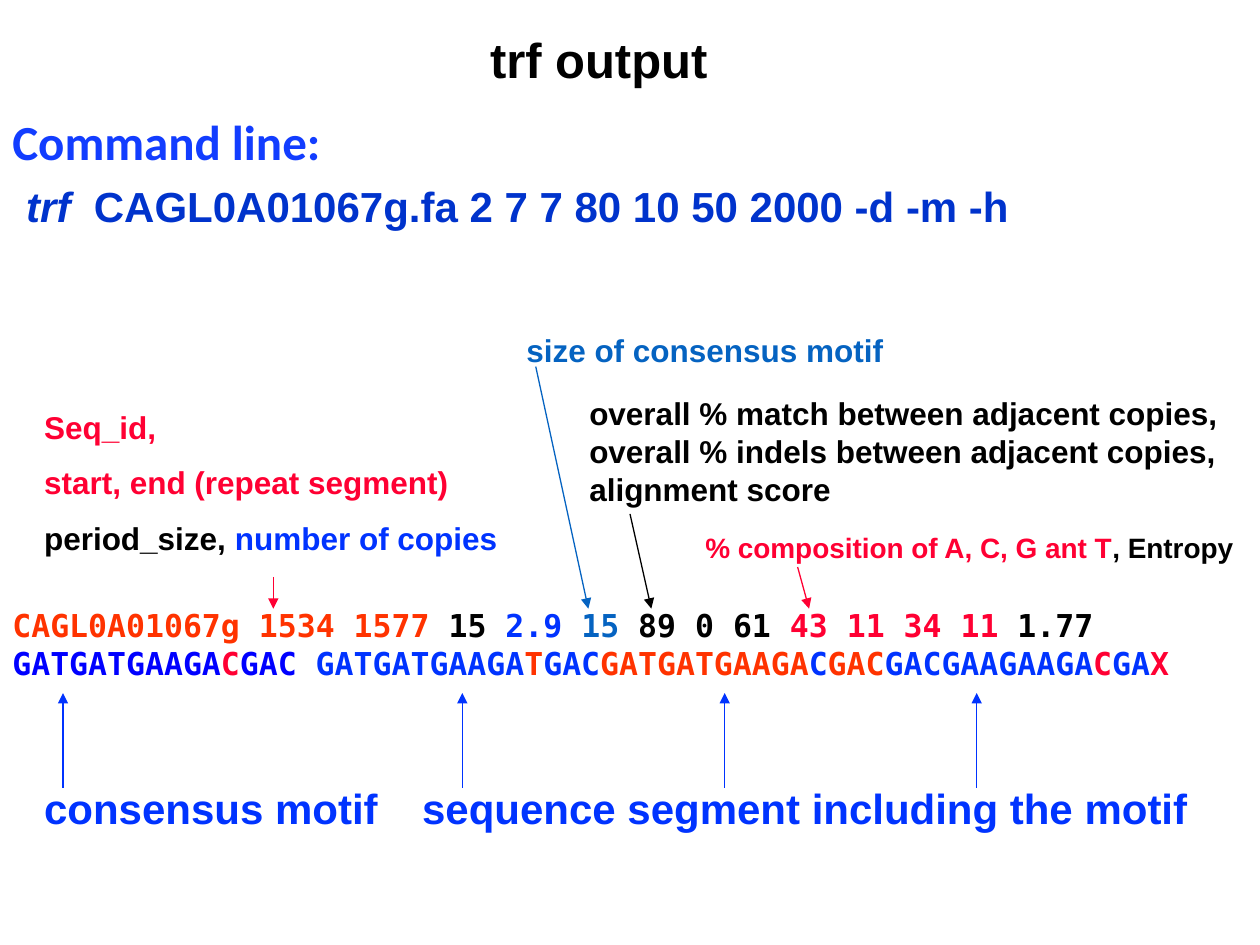
import pptx
import pptx.dml.color
import pptx.enum.shapes
import pptx.oxml.ns
import pptx.util
from lxml import etree

Cm, Pt = pptx.util.Cm, pptx.util.Pt

THEME = {
    "colors": {
        "black": "000000", "red": "FF0033", "orange": "FF3300",
        "blue": "0033FF", "deep": "0000FF", "navy": "0033CC",
        "teal": "0563C1", "heading": "123DFF",
    },
    "styles": {  # font, size in points
        "title": ("Arial", 28),
        "heading": ("Calibri", 28),
        "command": ("Arial", 24),
        "label": ("Arial", 18),
        "small label": ("Arial", 16),
        "record": ("DejaVu Sans Mono", 18),
    },
    "arrow width": 0.75,
    "paragraph gap": 10,
}

RECORD = [
    ("CAGL0A01067g 1534 1577", "orange"), (" 15 ", "black"), ("2.9 ", "blue"),
    ("15", "teal"), (" 89 0 61 ", "black"), ("43 11 34 11", "red"),
    (" 1.77 ", "black"),
    ("GATGATGAAGA", "deep"), ("C", "red"), ("GAC ", "deep"),
    ("GATGATGAAGA", "blue"), ("T", "orange"), ("GAC", "blue"),
    ("GATGATGAAGA", "orange"), ("C", "blue"), ("GAC", "orange"),
    ("GACGAAGAAGA", "blue"), ("C", "red"), ("GA", "blue"), ("X", "red"),
]

# style, (left, top, width, height) in cm, paragraphs of (text, color) runs
TEXTS = [
    ("title", (9.63, 0.48, 4.95, 1.45), [[("trf output", "black")]]),
    ("heading", (0, 2.13, 11.28, 1.45), [[("Command line:", "heading")]]),
    ("command", (0.28, 3.51, 23.29, 1.27),
     [[("trf ", "navy", "italic"),
       (" CAGL0A01067g.fa 2 7 7 80 10 50 2000 -d -m -h", "navy")]]),
    ("record", (0, 12.09, 24.56, 1.78), [RECORD]),
    ("label", (0.64, 8.1, 10.16, 3.3),
     [[("Seq_id,", "red")],
      [("start, end (repeat segment)", "red")],
      [("period_size, ", "black"), ("number of copies", "blue")]]),
    ("label", (10.36, 6.55, 8.26, 1.02), [[("size of consensus motif", "teal")]]),
    ("label", (11.63, 7.82, 13.54, 2.54),
     [[("overall % match between adjacent copies, overall % indels between "
        "adjacent copies, alignment score", "black")]]),
    ("small label", (13.97, 10.57, 11.23, 0.94),
     [[("% composition of A, C, G ant T", "red"), (", Entropy", "black")]]),
    ("command", (0.64, 15.65, 24.33, 1.27),
     [[("consensus motif\tsequence segment including the motif", "blue")]]),
]

RECORD_TOP, RECORD_BOTTOM, MOTIF_LABEL_TOP = 12.27, 13.97, 15.88
FIELD_ARROWS = [  # start x, start y, end x, color
    (5.51, 11.63, 5.51, "red"),
    (10.8, 7.39, 11.86, "teal"),
    (12.7, 10.36, 13.13, "black"),
    (16.08, 11.43, 16.31, "red"),
]
MOTIF_ARROWS_X = [1.27, 9.32, 14.61, 19.69]


def color(name):
    return pptx.dml.color.RGBColor.from_string(THEME["colors"][name])


def add_text(slide, style, bounds, paragraphs):
    font_name, size = THEME["styles"][style]
    frame = slide.shapes.add_textbox(*map(Cm, bounds)).text_frame
    frame.word_wrap = style != "title"
    for index, runs in enumerate(paragraphs):
        paragraph = frame.add_paragraph() if index else frame.paragraphs[0]
        if index:
            paragraph.space_before = Pt(THEME["paragraph gap"])
        for text, color_name, *emphasis in runs:
            run = paragraph.add_run()
            run.text = text
            run.font.name, run.font.size = font_name, Pt(size)
            run.font.bold = True
            run.font.italic = "italic" in emphasis
            run.font.color.rgb = color(color_name)


def add_arrow(slide, start_x, start_y, end_x, end_y, color_name):
    arrow = slide.shapes.add_connector(
        pptx.enum.shapes.MSO_CONNECTOR.STRAIGHT,
        *map(Cm, (start_x, start_y, end_x, end_y)))
    arrow.line.color.rgb = color(color_name)
    arrow.line.width = Pt(THEME["arrow width"])
    qn = pptx.oxml.ns.qn
    etree.SubElement(arrow.line._get_or_add_ln(), qn("a:tailEnd"), type="triangle")
    etree.SubElement(arrow._element.spPr, qn("a:effectLst"))


def main():
    deck = pptx.Presentation()
    deck.slide_width, deck.slide_height = Cm(25.4), Cm(19.05)
    slide = deck.slides.add_slide(deck.slide_layouts[6])
    for style, bounds, paragraphs in TEXTS:
        add_text(slide, style, bounds, paragraphs)
    for start_x, start_y, end_x, color_name in FIELD_ARROWS:
        add_arrow(slide, start_x, start_y, end_x, RECORD_TOP, color_name)
    for x in MOTIF_ARROWS_X:
        add_arrow(slide, x, MOTIF_LABEL_TOP, x, RECORD_BOTTOM, "blue")
    deck.save("out.pptx")


if __name__ == "__main__":
    main()
